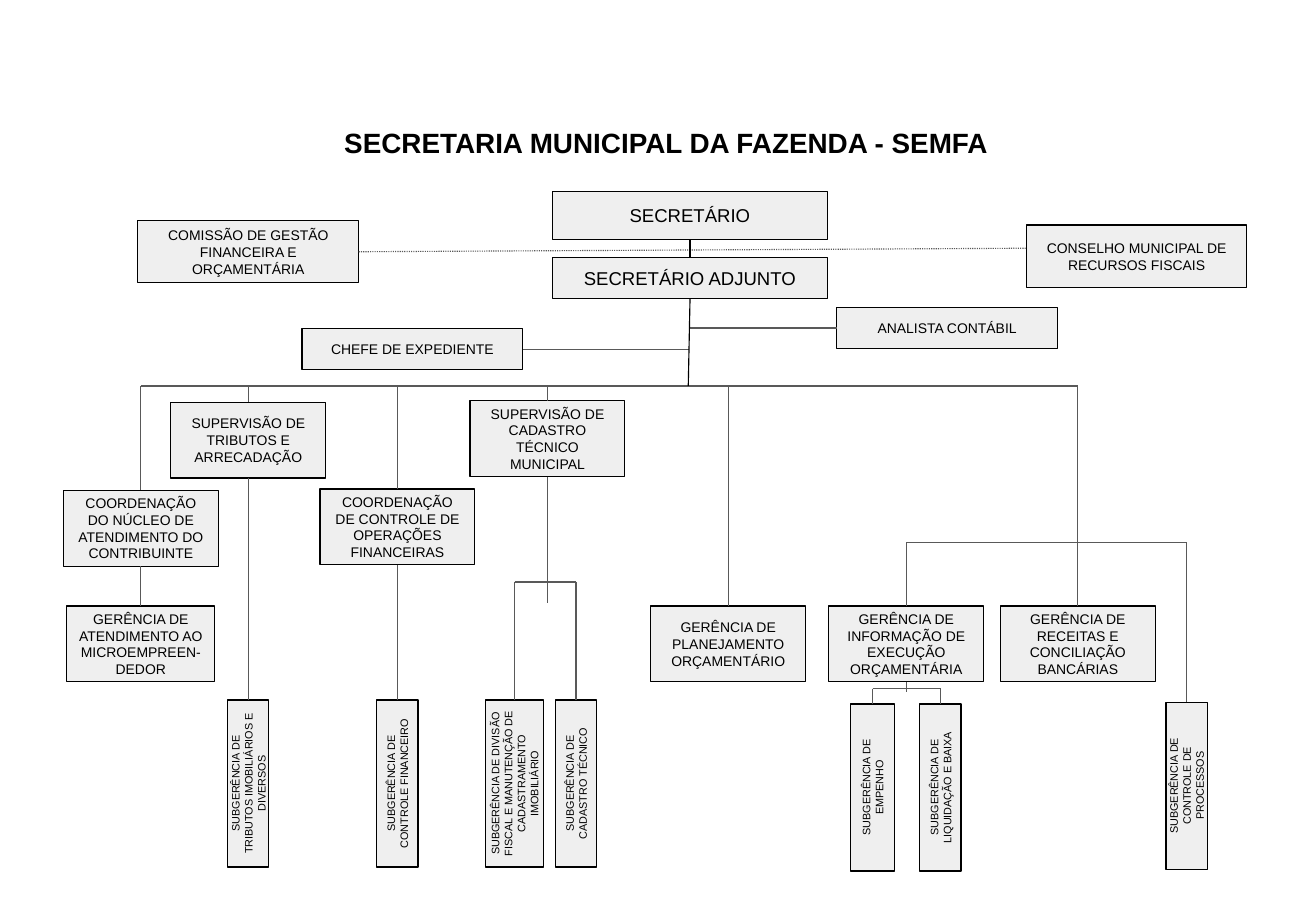
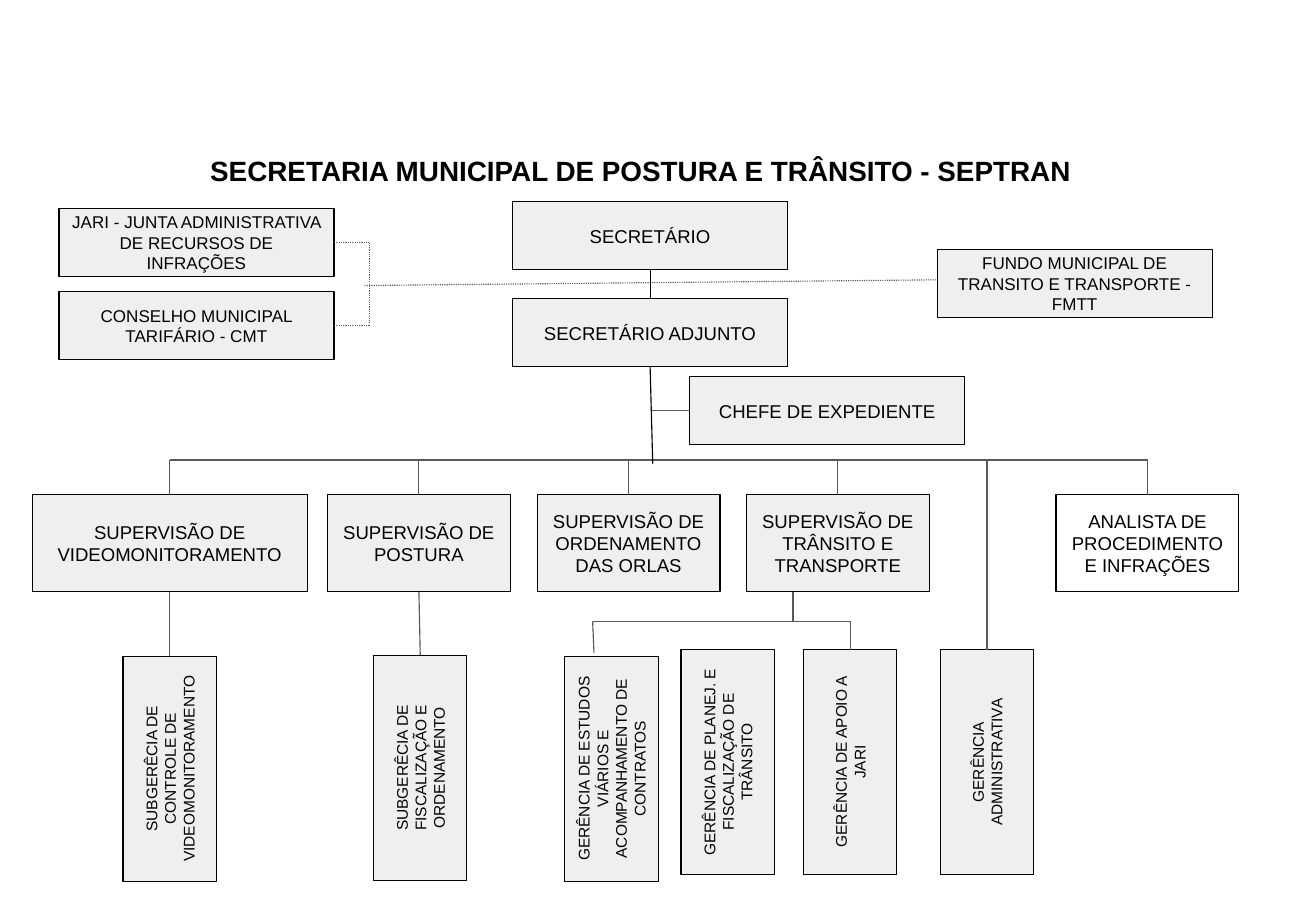
"""Build two organisation charts of municipal departments."""
from lxml.etree import SubElement
from pptx import Presentation
from pptx.dml.color import RGBColor
from pptx.enum.dml import MSO_LINE
from pptx.enum.shapes import MSO_CONNECTOR, MSO_SHAPE
from pptx.enum.text import MSO_ANCHOR, MSO_AUTO_SIZE, PP_ALIGN
from pptx.oxml.ns import qn
from pptx.util import Cm, Pt

BLACK, GREY, PALE = "000000", "595959", "EFEFEF"
SIDES = {"top": (0, 0, -0.5), "left": (1, -0.5, 0),
         "bottom": (2, 0, 0.5), "right": (3, 0.5, 0)}

# kind: width, height, text size, rotation, fill
KINDS = {
    "head": (6.27, 1.09, 12, 0, PALE),
    "deputy": (6.27, 0.94, 12, 0, PALE),
    "board": (5.03, 1.42, 9, 0, PALE),
    "staff": (5.03, 0.94, 9, 0, PALE),
    "unit": (3.53, 1.73, 9, 0, PALE),
    "small": (3.38, 1.73, 9, 0, PALE),
    "sub": (0.94, 3.81, 7, 270, PALE),
    "midsub": (1.02, 3.81, 7, 270, PALE),
    "widesub": (1.32, 3.81, 7, 270, PALE),
    "chief": (6.27, 1.55, 12, 0, PALE),
    "council": (6.27, 1.55, 11, 0, PALE),
    "wide": (6.27, 2.21, 12, 0, PALE),
    "area": (4.17, 2.21, 12, 0, PALE),
    "open": (4.17, 2.21, 12, 0, None),
    "tall": (2.13, 5.13, 10, 270, PALE),
}

# boxes: key, kind, centre x, top y, text
# lines: start, end; an end is a point or a box side, None copies the other end
FAZENDA = {
    "title": ("SECRETARIA MUNICIPAL DA FAZENDA - SEMFA", 0.91, 2.62, 28.55, 1.24),
    "boxes": [
        ("sec", "head", 15.73, 4.37, "SECRETÁRIO"),
        ("adj", "deputy", 15.73, 5.87, "SECRETÁRIO ADJUNTO"),
        ("gestão", "board", 5.66, 5.03, "COMISSÃO DE GESTÃO FINANCEIRA E ORÇAMENTÁRIA"),
        ("fiscal", "board", 25.91, 5.13, "CONSELHO MUNICIPAL DE RECURSOS FISCAIS"),
        ("chefe", "staff", 9.4, 7.49, "CHEFE DE EXPEDIENTE"),
        ("analista", "staff", 21.59, 7.01, "ANALISTA CONTÁBIL"),
        ("tributos", "unit", 5.66, 9.17, "SUPERVISÃO DE TRIBUTOS E ARRECADAÇÃO"),
        ("cadastro", "unit", 12.48, 9.14, "SUPERVISÃO DE CADASTRO TÉCNICO MUNICIPAL"),
        ("núcleo", "unit", 3.21, 11.18,
         "COORDENAÇÃO DO NÚCLEO DE ATENDIMENTO DO CONTRIBUINTE"),
        ("controle", "unit", 9.06, 11.15,
         "COORDENAÇÃO DE CONTROLE DE OPERAÇÕES FINANCEIRAS"),
        ("micro", "small", 3.21, 13.82, "GERÊNCIA DE ATENDIMENTO AO MICROEMPREEN-DEDOR"),
        ("plano", "unit", 16.6, 13.82, "GERÊNCIA DE PLANEJAMENTO ORÇAMENTÁRIO"),
        ("info", "unit", 20.66, 13.82,
         "GERÊNCIA DE INFORMAÇÃO DE EXECUÇÃO ORÇAMENTÁRIA"),
        ("receitas", "unit", 24.57, 13.82,
         "GERÊNCIA DE RECEITAS E CONCILIAÇÃO BANCÁRIAS"),
        ("diversos", "sub", 5.66, 15.96,
         "SUBGERÊNCIA DE TRIBUTOS IMOBILIÁRIOS E DIVERSOS"),
        ("finanças", "sub", 9.06, 15.96, "SUBGERÊNCIA DE CONTROLE FINANCEIRO"),
        ("divisão", "widesub", 11.73, 15.96,
         "SUBGERÊNCIA DE DIVISÃO FISCAL E MANUTENÇÃO DE CADASTRAMENTO IMOBILIÁRIO"),
        ("técnico", "sub", 13.13, 15.96, "SUBGERÊNCIA DE CADASTRO TÉCNICO"),
        ("empenho", "midsub", 19.89, 16.05, "SUBGERÊNCIA DE EMPENHO"),
        ("baixa", "sub", 21.44, 16.05, "SUBGERÊNCIA DE LIQUIDAÇÃO E BAIXA"),
        ("processos", "sub", 27.05, 16.01, "SUBGERÊNCIA DE CONTROLE DE PROCESSOS"),
    ],
    "stems": [("sec.bottom", "adj.top"), ("adj.bottom", (15.69, 8.8))],
    "dots": [("gestão.right", (23.38, 5.66))],
    "lines": [
        ("chefe.right", (15.7, None)), ("analista.left", (15.7, None)),
        ("núcleo.bottom", "micro.top"), ("tributos.bottom", "diversos.top"),
        ("controle.bottom", "finanças.top"),
        ("cadastro.bottom", (None, 13.75)), ("info.bottom", (None, 15.77)),
    ],
    # rails: y, keys of the boxes below; the rail spans them
    "rails": [
        (8.8, ["núcleo", "tributos", "controle", "cadastro", "plano", "receitas"]),
        (12.37, ["info", "processos"]),
        (13.27, ["divisão", "técnico"]),
        (15.7, ["empenho", "baixa"]),
    ],
}

TRANSITO = {
    "title": ("SECRETARIA MUNICIPAL DE POSTURA E TRÂNSITO - SEPTRAN",
              1.93, 3.25, 25.35, 2.39),
    "boxes": [
        ("sec", "chief", 14.82, 4.6, "SECRETÁRIO"),
        ("adj", "chief", 14.82, 6.81, "SECRETÁRIO ADJUNTO"),
        ("chefe", "chief", 18.86, 8.59, "CHEFE DE EXPEDIENTE"),
        ("jari", "council", 4.48, 4.75,
         "JARI - JUNTA ADMINISTRATIVA DE RECURSOS DE INFRAÇÕES"),
        ("tarifa", "council", 4.48, 6.65, "CONSELHO MUNICIPAL TARIFÁRIO - CMT"),
        ("fundo", "council", 24.5, 5.69,
         "FUNDO MUNICIPAL DE TRANSITO E TRANSPORTE - FMTT"),
        ("vídeo", "wide", 3.87, 11.28, "SUPERVISÃO DE VIDEOMONITORAMENTO"),
        ("postura", "area", 9.55, 11.28, "SUPERVISÃO DE POSTURA"),
        ("orlas", "area", 14.33, 11.28, "SUPERVISÃO DE ORDENAMENTO DAS ORLAS"),
        ("trânsito", "area", 19.1, 11.28, "SUPERVISÃO DE TRÂNSITO E TRANSPORTE"),
        ("analista", "open", 26.16, 11.28, "ANALISTA DE PROCEDIMENTO E INFRAÇÕES"),
        ("monitor", "tall", 3.87, 14.96,
         "SUBGERÊCIA DE CONTROLE DE VIDEOMONITORAMENTO"),
        ("ordem", "tall", 9.58, 14.94, "SUBGERÊCIA DE FISCALIZAÇÃO E ORDENAMENTO"),
        ("estudos", "tall", 13.94, 14.96,
         "GERÊNCIA DE ESTUDOS VIÁRIOS E ACOMPANHAMENTO DE CONTRATOS"),
        ("plano", "tall", 16.59, 14.81,
         "GERÊNCIA DE PLANEJ. E FISCALIZAÇÃO DE TRÂNSITO"),
        ("apoio", "tall", 19.38, 14.81, "GERÊNCIA DE APOIO A JARI"),
        ("gerência", "tall", 22.5, 14.81, "GERÊNCIA\nADMINISTRATIVA"),
    ],
    "stems": [("sec.bottom", "adj.top"), ("adj.bottom", (14.88, 10.57))],
    "dots": [
        ("jari.right", (8.43, None)), ("tarifa.right", (8.43, None)),
        ((8.43, 5.53), (8.43, 7.43)), ((8.31, 6.51), (21.37, 6.38)),
    ],
    "lines": [
        ("chefe.left", (14.85, None)), ("vídeo.bottom", "monitor.top"),
        ("postura.bottom", "ordem.top"), ((18.08, 13.49), (18.08, 14.17)),
        ((13.51, 14.17), (19.38, 14.17)), ((13.51, 14.17), (13.54, 14.88)),
        ((None, 14.17), "apoio.top"),
    ],
    "rails": [
        (10.49, ["vídeo", "postura", "orlas", "trânsito", "gerência", "analista"]),
    ],
}


def colour(code):
    return RGBColor.from_string(code)


def write(shape, text, size, anchor, bold=False):
    frame = shape.text_frame
    frame.text = text
    look = {"word_wrap": True, "auto_size": MSO_AUTO_SIZE.NONE,
            "vertical_anchor": anchor}
    look.update({f"margin_{side}": Cm(0.25) for side in SIDES})
    for name, value in look.items():
        setattr(frame, name, value)
    for para in frame.paragraphs:
        para.alignment = PP_ALIGN.CENTER
        for run in para.runs:
            font = {"name": "Arial", "size": Pt(size), "bold": bold}
            for name, value in font.items():
                setattr(run.font, name, value)
            run.font.color.rgb = colour(BLACK)


def add_title(slide, text, *place):
    title = slide.shapes.title
    for name, value in zip(("left", "top", "width", "height"), place):
        setattr(title, name, Cm(value))
    write(title, text, 18, MSO_ANCHOR.TOP, True)


def add_box(slide, kind, mid, top, text):
    wide, high, size, turn, fill = KINDS[kind]
    w, h = (high, wide) if turn else (wide, high)
    box = slide.shapes.add_shape(
        MSO_SHAPE.RECTANGLE, Cm(mid - w / 2), Cm(top + (high - h) / 2), Cm(w), Cm(h))
    box.rotation = turn
    box.shadow.inherit = False
    if fill:
        box.fill.solid()
        box.fill.fore_color.rgb = colour(fill)
    else:
        box.fill.background()
    box.line.color.rgb = colour(BLACK)
    box.line.width = Pt(0.75)
    write(box, text, size, MSO_ANCHOR.MIDDLE)
    return box, mid, top + high / 2, wide, high


def locate(end, boxes):
    """Return the x and y of an end, with its box and site if it has them."""
    if not isinstance(end, str):
        return end, None
    key, side = end.split(".")
    box, x, y, wide, high = boxes[key]
    site, across, down = SIDES[side]
    if box.rotation:
        site = (site + 3) % 4
    return (x + across * wide, y + down * high), (box, site)


def add_line(slide, boxes, start, end, tone=GREY, dash=None):
    (x1, y1), glue1 = locate(start, boxes)
    (x2, y2), glue2 = locate(end, boxes)
    x1, x2 = (x2 if x1 is None else x1), (x1 if x2 is None else x2)
    y1, y2 = (y2 if y1 is None else y1), (y1 if y2 is None else y2)
    ends = {"begin_x": Cm(x1), "begin_y": Cm(y1), "end_x": Cm(x2), "end_y": Cm(y2)}
    line = slide.shapes.add_connector(MSO_CONNECTOR.STRAIGHT, *ends.values())
    if glue1:
        line.begin_connect(*glue1)
    if glue2:
        line.end_connect(*glue2)
    for name, value in ends.items():
        setattr(line, name, value)
    line.line.color.rgb = colour(tone)
    line.line.width = Pt(0.75)
    if dash:
        line.line.dash_style = dash
    SubElement(line._element.spPr, qn("a:effectLst"))


def add_chart(deck, data):
    slide = deck.slides.add_slide(deck.slide_layouts[5])
    add_title(slide, *data["title"])
    boxes = {key: add_box(slide, *rest) for key, *rest in data["boxes"]}
    for pair in data["dots"]:
        add_line(slide, boxes, *pair, dash=MSO_LINE.ROUND_DOT)
    for pair in data["lines"]:
        add_line(slide, boxes, *pair)
    for y, keys in data["rails"]:
        add_line(slide, boxes, (boxes[keys[0]][1], y), (boxes[keys[-1]][1], y))
        for key in keys:
            add_line(slide, boxes, (None, y), f"{key}.top")
    for pair in data["stems"]:
        add_line(slide, boxes, *pair, tone=BLACK)


def main():
    deck = Presentation()
    deck.slide_width, deck.slide_height = Cm(30), Cm(21)
    for data in (FAZENDA, TRANSITO):
        add_chart(deck, data)
    deck.save("out.pptx")


if __name__ == "__main__":
    main()
